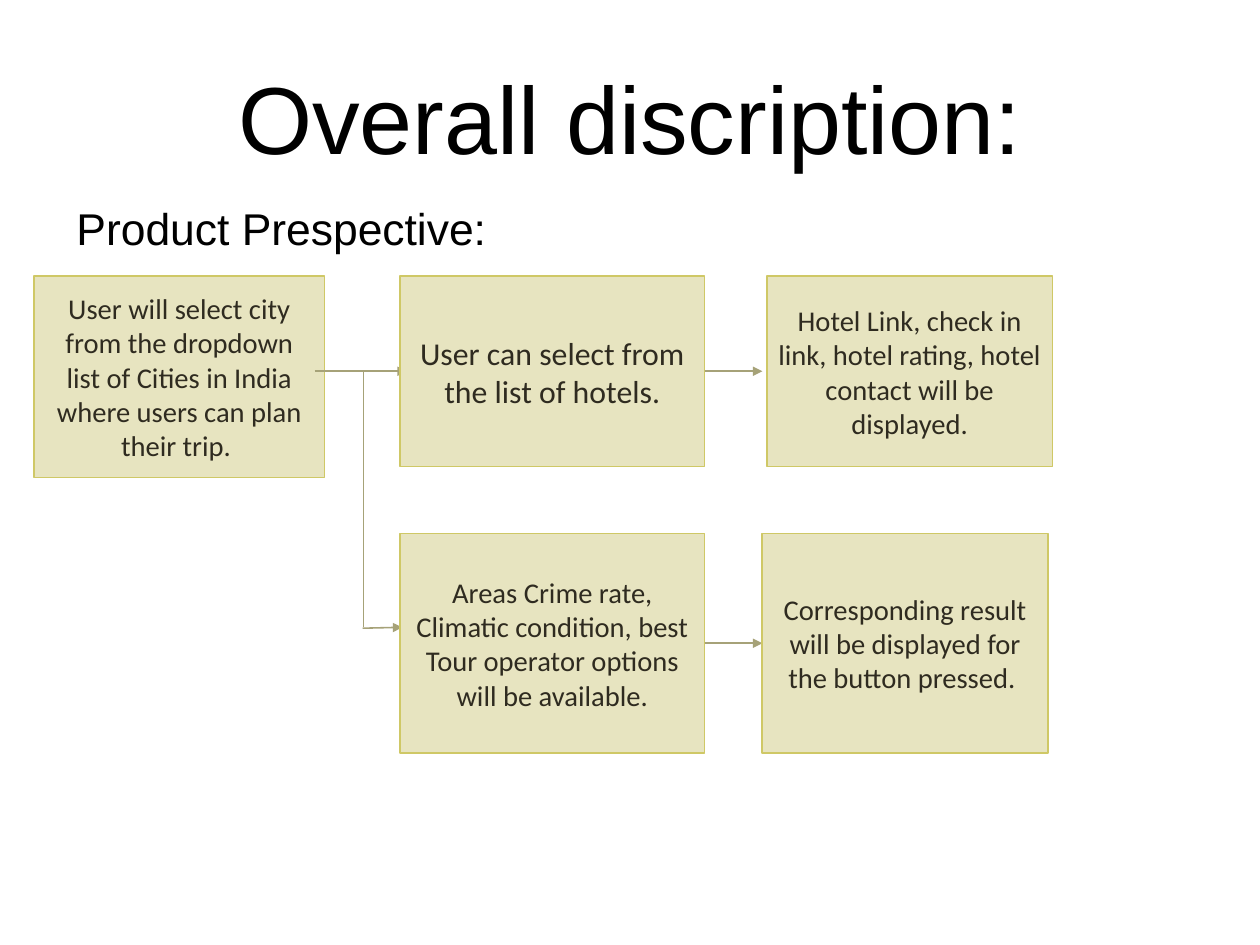
from lxml import etree
from pptx import Presentation
from pptx import util as u
from pptx.dml.color import RGBColor
from pptx.enum import shapes, text
from pptx.oxml import ns

INK = {"head": "000000", "body": "2F2B20", "fill": "E7E4C0",
       "edge": "CFC866", "link": "A6A278"}
EDGE = u.Pt(0.99)
MID = text.PP_ALIGN.CENTER
LEFT = text.PP_ALIGN.LEFT


def hue(key):
    """Return the named colour."""
    return RGBColor.from_string(INK[key])


def write(shape, words, size, font, ink, align, anchor):
    """Set the text of a shape and its format."""
    frame = shape.text_frame
    frame.text = words
    para = frame.paragraphs[0]
    para.font.color.rgb = hue(ink)
    looks = [
        (frame, {"word_wrap": True, "vertical_anchor": anchor}),
        (para, {"alignment": align}),
        (para.font, {"name": font, "size": u.Pt(size)}),
    ]
    for part, look in looks:
        for key, value in look.items():
            setattr(part, key, value)


def label(slide, box, words, size, align):
    """Add a heading that fills the given box."""
    shape = slide.shapes.add_textbox(*map(u.Cm, box))
    write(shape, words, size, "Arial", "head", align, text.MSO_ANCHOR.TOP)


def step(slide, box, words, size=18):
    """Add one step of the flow."""
    shape = slide.shapes.add_shape(
        shapes.MSO_SHAPE.RECTANGLE, *map(u.Cm, box))
    shape.shadow.inherit = False
    shape.fill.solid()
    shape.fill.fore_color.rgb = hue("fill")
    shape.line.color.rgb = hue("edge")
    shape.line.width = EDGE
    write(shape, words, size, "Calibri", "body", MID, text.MSO_ANCHOR.MIDDLE)


def link(slide, ends, arrow=True):
    """Add a line between two points, with an arrowhead if wanted."""
    wire = slide.shapes.add_connector(
        shapes.MSO_CONNECTOR.STRAIGHT, *map(u.Cm, ends))
    wire.line.color.rgb = hue("link")
    wire.line.width = EDGE
    if arrow:
        etree.SubElement(wire.line._get_or_add_ln(), ns.qn("a:tailEnd"),
                         type="triangle")
    etree.SubElement(wire._element.spPr, ns.qn("a:effectLst"))


def flow(slide, left, top):
    """Draw the flow of steps from its top left corner."""
    def put(x, y, wide, high):
        return left + x, top + y, wide, high

    def join(x1, y1, x2, y2, arrow=True):
        link(slide, (left + x1, top + y1, left + x2, top + y2), arrow)

    mid, wide, last = 8.13, 6.77, 6.35
    tall, low, deep = 4.23, 5.72, 4.87
    exit, goal = mid + wide, 16.18
    row = 2.11
    step(slide, put(0, 0, 6.45, 4.47),
         "User will select city from the dropdown list of Cities in India "
         "where users can plan their trip. ")
    join(6.23, row, 8.28, row)
    step(slide, put(mid, 0, wide, tall),
         "User can select from the list of hotels.", 20)
    join(exit, row, goal, row)
    step(slide, put(goal + 0.1, 0, last, tall),
         "Hotel Link, check in link, hotel rating, hotel contact "
         "will be displayed.")
    join(7.32, row, 7.32, 7.8, arrow=False)
    join(7.3, 7.82, 8.18, 7.8)
    step(slide, put(mid, low, wide, deep),
         "Areas Crime rate, Climatic condition, best Tour operator options "
         "will be available.")
    join(exit, low + deep / 2, goal, low + deep / 2)
    step(slide, put(goal, low, last, deep),
         "Corresponding result will be displayed for the button pressed. ")


def main():
    """Build the slide and save it."""
    deck = Presentation()
    deck.slide_width, deck.slide_height = u.Cm(28), u.Cm(21)
    slide = deck.slides.add_slide(deck.slide_layouts[6])
    label(slide, (1.45, 4.34, 21.21, 1.35), "Product Prespective:", 28, LEFT)
    label(slide, (0, 1.19, 28, 2.62), "Overall discription:", 60, MID)
    flow(slide, 0.76, 6.14)
    deck.save("out.pptx")


main()
